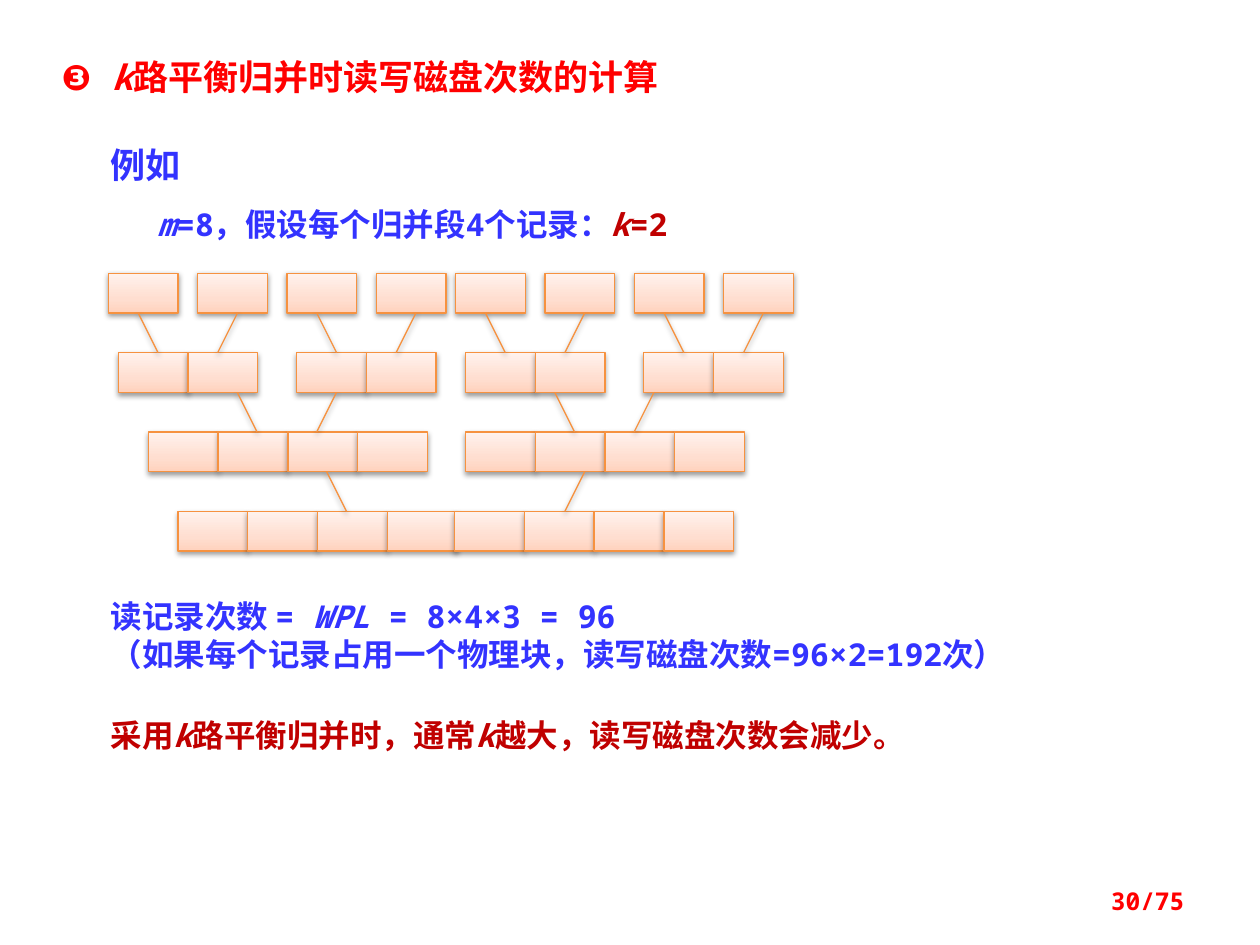
from dataclasses import dataclass
from pptx import Presentation
from pptx.dml.color import RGBColor
from pptx.enum.shapes import MSO_CONNECTOR, MSO_SHAPE
from pptx.enum.text import MSO_ANCHOR, PP_ALIGN
from pptx.oxml import parse_xml
from pptx.oxml.ns import nsdecls
from pptx.util import Pt


@dataclass(frozen=True)
class Theme:
    font: str = "Noto Sans Mono"
    red: str = "FF0000"
    blue: str = "3333FF"
    dark_red: str = "C00000"
    orange: str = "F69240"
    shadow: str = "000000"
    gradient: tuple = ((0, "FFD2BD"), (35, "FFDED0"), (100, "FFF2ED"))
    heading: int = 20
    body: int = 18
    footer: int = 14


theme = Theme()


def add_text(box, paragraphs, size, color, align=PP_ALIGN.LEFT, anchor=MSO_ANCHOR.TOP):
    frame = slide.shapes.add_textbox(*map(Pt, box)).text_frame
    frame.word_wrap = True
    frame.vertical_anchor = anchor
    for index, pieces in enumerate(paragraphs):
        paragraph = frame.paragraphs[0] if index == 0 else frame.add_paragraph()
        paragraph.alignment = align
        paragraph.font.name = theme.font
        paragraph.font.size = Pt(size)
        paragraph.font.bold = True
        paragraph.font.color.rgb = RGBColor.from_string(color)
        for piece in pieces:
            run = paragraph.add_run()
            run.text = piece.strip("*")
            if piece.startswith("*"):
                run.font.italic = True
    return frame


def style_outline(shape):
    shape.line.color.rgb = RGBColor.from_string(theme.orange)
    shape.line.width = Pt(0.75)
    shape._element.spPr.append(parse_xml(
        f'<a:effectLst {nsdecls("a")}><a:outerShdw blurRad="{Pt(3.1)}" dist="{Pt(1.6)}" '
        f'dir="5400000" rotWithShape="0"><a:srgbClr val="{theme.shadow}">'
        '<a:alpha val="38000"/></a:srgbClr></a:outerShdw></a:effectLst>'))


presentation = Presentation()
presentation.slide_width = Pt(720)
presentation.slide_height = Pt(540)
slide = presentation.slides.add_slide(presentation.slide_layouts[6])

condition = add_text((82.8, 113.8, 360, 28.8),
                     [["*m*", "=8，假设每个归并段4个记录：", "*k*", "=2"]],
                     theme.body, theme.blue)
for run in condition.paragraphs[0].runs[2:]:
    run.font.color.rgb = RGBColor.from_string(theme.dark_red)

cell_width, cell_height = 39.86, 22.68
first_top, row_step = 156.2, 45.36
line_run = 11.34
segment_rows = [
    (1, [half + 51.05 * i for half in (61.9, 260.4) for i in range(4)]),
    (2, [67.6, 169.5, 266, 367.9]),
    (4, [84.8, 266]),
    (4, [101.8, 259.8]),
]
merge_rows = [
    (56.7, [79, 181, 277.4, 379.5]),
    (56.7, [135.6, 317]),
    (147.4, [186.7]),
]
stops = "".join(f'<a:gs pos="{position * 1000}"><a:srgbClr val="{color}"/></a:gs>'
                for position, color in theme.gradient)

for row, (cell_count, lefts) in enumerate(segment_rows):
    for left in lefts:
        for column in range(cell_count):
            cell = slide.shapes.add_shape(
                MSO_SHAPE.RECTANGLE, Pt(left + column * cell_width),
                Pt(first_top + row * row_step), Pt(cell_width), Pt(cell_height))
            cell._element.spPr.append(parse_xml(
                f'<a:gradFill {nsdecls("a")} rotWithShape="1"><a:gsLst>{stops}</a:gsLst>'
                '<a:lin ang="16200000" scaled="0"/></a:gradFill>'))
            style_outline(cell)

for row, (spread, starts) in enumerate(merge_rows):
    line_top = first_top + row * row_step + cell_height
    line_bottom = first_top + (row + 1) * row_step
    for start in starts:
        for begin, end in ((start, start + line_run),
                           (start + spread, start + spread - line_run)):
            line = slide.shapes.add_connector(
                MSO_CONNECTOR.STRAIGHT, Pt(begin), Pt(line_top), Pt(end), Pt(line_bottom))
            style_outline(line)

add_text((56.2, 337.7, 556.6, 51.1),
         [["读记录次数 = ", "*WPL*", " = 8×4×3 = 96"],
          ["（如果每个记录占用一个物理块，读写磁盘次数=96×2=192次）"]],
         theme.body, theme.blue)
add_text((56.2, 78.5, 73.4, 31.7), [["例如"]], theme.heading, theme.blue)
add_text((28.1, 28.1, 455.8, 31.7), [["❸ ", "*k*", "路平衡归并时读写磁盘次数的计算"]],
         theme.heading, theme.red, PP_ALIGN.JUSTIFY)
add_text((56.2, 405.4, 506.2, 28.8),
         [["采用", "*k*", "路平衡归并时，通常", "*k*", "越大，读写磁盘次数会减少。"]],
         theme.body, theme.dark_red)
add_text((516.2, 500.4, 167.8, 28.8), [["30/75"]],
         theme.footer, theme.red, PP_ALIGN.RIGHT, MSO_ANCHOR.MIDDLE)

presentation.save("out.pptx")
